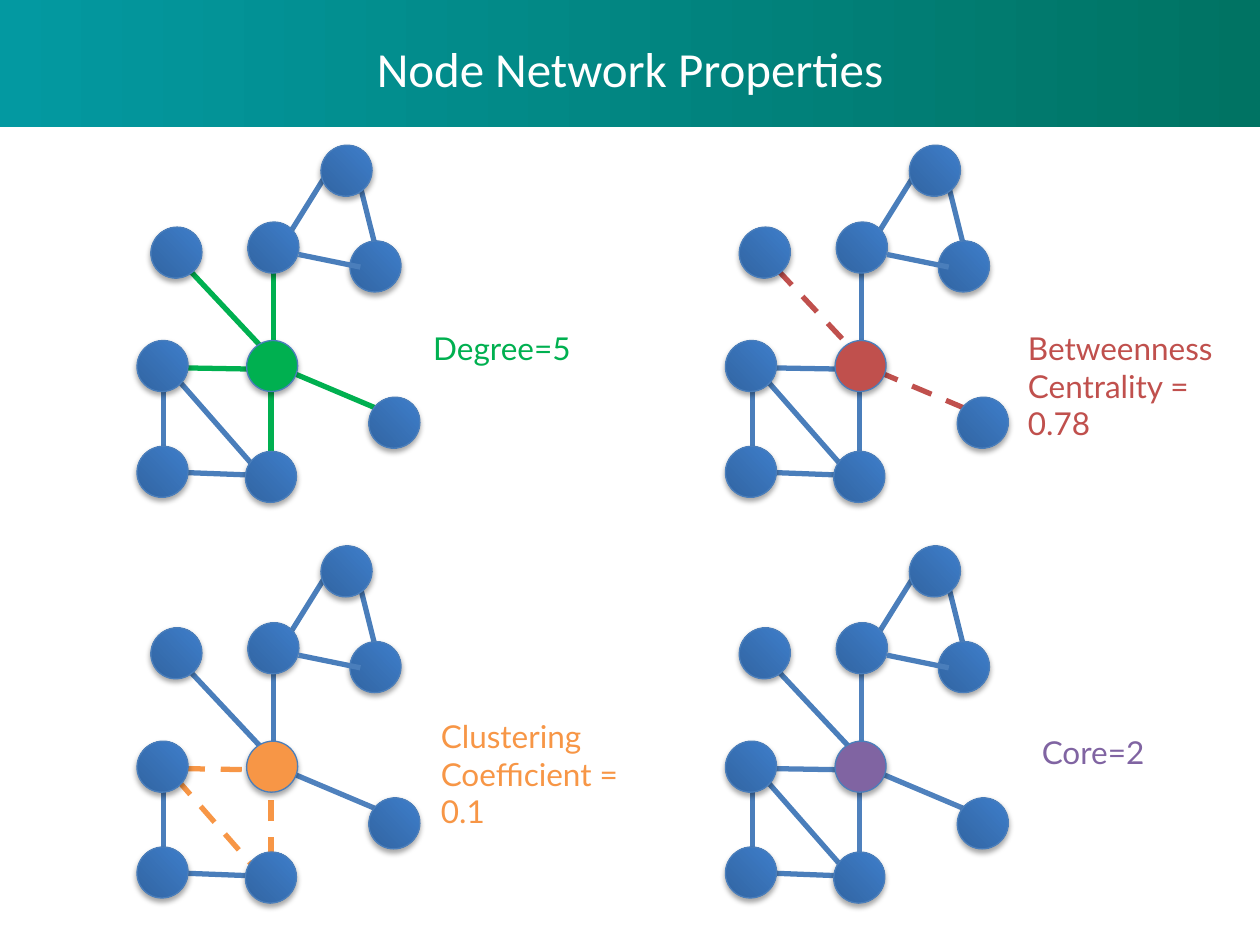
from copy import deepcopy
from dataclasses import dataclass

from lxml import etree
from pptx import Presentation
from pptx.dml.color import RGBColor
from pptx.enum.dml import MSO_LINE
from pptx.enum.shapes import MSO_CONNECTOR, MSO_SHAPE
from pptx.enum.text import MSO_ANCHOR, MSO_AUTO_SIZE, PP_ALIGN
from pptx.oxml.ns import qn
from pptx.util import Inches, Pt

OVAL, RECT = MSO_SHAPE.OVAL, MSO_SHAPE.RECTANGLE
STRAIGHT = MSO_CONNECTOR.STRAIGHT
DASH = MSO_LINE.DASH
LEFT, CENTER = PP_ALIGN.LEFT, PP_ALIGN.CENTER
MIDDLE = MSO_ANCHOR.MIDDLE
GROW = MSO_AUTO_SIZE.SHAPE_TO_FIT_TEXT


@dataclass(frozen=True)
class Theme:
    """Colours, fonts and sizes of the slide."""
    white: str = "FFFFFF"
    edge: str = "4A7EBB"
    blue: str = "4F81BD"
    green: str = "00B050"
    red: str = "C0504D"
    orange: str = "F79646"
    purple: str = "8064A2"
    band: tuple = ((0, "007363"), (1, "0399A1"))
    node: tuple = ((0, "2F5F99"), (0.8, "3D7CC7"), (1, "3A7CCB"))
    head_font: str = "Calibri"
    note_font: str = "Lato"
    head_size: int = 28
    note_size: int = 18
    edge_width: float = 3
    rim_width: float = 0.75


THEME = Theme()
STEP_X, STEP_Y = 4.67, 3.18
NODE_W, NODE_H, TURN = 0.4, 0.41, 46

EDGES = {
    "base": (1.46, 3.75, 1.98, 3.77),
    "cross": (1.4, 3, 2.04, 3.73),
    "west": (1.46, 2.92, 2.04, 2.93),
    "leaf": (1.5, 2.14, 2.1, 2.78),
    "east": (2.3, 2.95, 3.01, 3.25),
    "side": (1.3, 3.68, 1.3, 3.1),
    "right": (2.84, 1.4, 2.98, 1.96),
    "left": (2.58, 1.4, 2.3, 1.85),
    "south": (2.15, 3.63, 2.15, 3.05),
    "north": (2.17, 2.7, 2.17, 2.12),
}
HUB = (1.96, 2.7)
NODES = [(2.78, 1.91), (2.55, 1.15), (2.93, 3.15), (1.09, 3.54),
         (1.95, 3.58), (1.97, 1.76), (1.09, 2.7)]
TOP_EDGE = (2.86, 2.12, 2.37, 2.02)
TOP_NODE = (1.2, 1.8)

PANELS = [
    dict(col=0, row=0, hub=THEME.green, tint=THEME.green, dash=False,
         marked=("west", "leaf", "east", "south", "north"),
         text="Degree=5", box=(3.34, 2.56, 1.33, 0.4)),
    dict(col=1, row=0, hub=THEME.red, tint=THEME.red, dash=True,
         marked=("leaf", "east"),
         text="Betweenness Centrality = 0.78", box=(8.06, 2.56, 1.75, 1.01)),
    dict(col=0, row=1, hub=THEME.orange, tint=THEME.orange, dash=True,
         marked=("cross", "west", "south"), plain=("east",),
         text="Clustering Coefficient = 0.1", box=(3.4, 5.64, 1.61, 1.01)),
    dict(col=1, row=1, hub=THEME.purple, tint=THEME.blue, dash=False,
         marked=("west", "east", "south", "north"),
         text="Core=2", box=(8.17, 5.77, 1.33, 0.4)),
]


def rgb(code):
    """Turn a hex code into a colour."""
    return RGBColor.from_string(code)


def write(shape, text, *, size, font, color, align=LEFT):
    """Put formatted text into a shape."""
    frame = shape.text_frame
    frame.word_wrap = True
    frame.text = text
    para = frame.paragraphs[0]
    para.alignment = align
    para.font.size = Pt(size)
    para.font.name = font
    para.font.color.rgb = rgb(color)
    return frame


def blend(shape, stops, angle):
    """Fill a shape with a linear gradient."""
    fill = shape.fill
    fill.gradient()
    rows = shape.element.spPr.find(".//" + qn("a:gsLst"))
    for _ in stops[2:]:
        rows.append(deepcopy(rows[-1]))
    for stop, (place, color) in zip(fill.gradient_stops, stops):
        stop.position = place
        stop.color.rgb = rgb(color)
    fill.gradient_angle = angle


def shade(shape):
    """Give a shape a soft shadow below it."""
    shape.shadow.inherit = False
    effects = shape.element.spPr.find(qn("a:effectLst"))
    outer = etree.SubElement(
        effects, qn("a:outerShdw"), blurRad=str(Pt(3.1)), dist=str(Pt(1.8)),
        dir="5400000", rotWithShape="0")
    black = etree.SubElement(outer, qn("a:srgbClr"), val="000000")
    etree.SubElement(black, qn("a:alpha"), val="35000")


def add_band(slide):
    """Draw the header band behind the title."""
    band = slide.shapes.add_shape(RECT, 0, 0, Inches(10), Inches(1.01))
    band.shadow.inherit = False
    band.line.fill.background()
    blend(band, THEME.band, 180)
    slide.shapes.title.element.addprevious(band.element)


def add_title(slide, text):
    """Place and format the title."""
    title = slide.shapes.title
    title.left, title.top = Inches(0.7), Inches(0.25)
    title.width, title.height = Inches(8.6), Inches(0.57)
    frame = write(title, text, size=THEME.head_size, font=THEME.head_font,
                  color=THEME.white, align=CENTER)
    frame.vertical_anchor = MIDDLE


def add_edge(group, ends, dx, dy, color=THEME.edge, dash=False):
    """Draw one edge of a network."""
    x1, y1, x2, y2 = ends
    edge = group.shapes.add_connector(
        STRAIGHT, Inches(x1 + dx), Inches(y1 + dy),
        Inches(x2 + dx), Inches(y2 + dy))
    edge.line.color.rgb = rgb(color)
    edge.line.width = Pt(THEME.edge_width)
    if dash:
        edge.line.dash_style = DASH
    etree.SubElement(edge.element.spPr, qn("a:effectLst"))


def add_node(group, spot, dx, dy, color=None):
    """Draw one node, plain when a colour is given."""
    x, y = spot
    node = group.shapes.add_shape(OVAL, Inches(x + dx), Inches(y + dy),
                                  Inches(NODE_W), Inches(NODE_H))
    node.rotation = TURN
    if color:
        node.fill.solid()
        node.fill.fore_color.rgb = rgb(color)
    else:
        blend(node, THEME.node, 90)
    node.line.color.rgb = rgb(THEME.edge)
    node.line.width = Pt(THEME.rim_width)
    shade(node)


def add_panel(slide, *, col, row, hub, tint, dash, marked, text, box, plain=()):
    """Draw a network with its marked edges and label."""
    group = slide.shapes.add_group_shape()
    dx, dy = col * STEP_X, row * STEP_Y
    for name, ends in EDGES.items():
        if name in marked:
            add_edge(group, ends, dx, dy, tint, dash)
        else:
            color = THEME.blue if name in plain else THEME.edge
            add_edge(group, ends, dx, dy, color)
    add_node(group, HUB, dx, dy, hub)
    for spot in NODES:
        add_node(group, spot, dx, dy)
    add_edge(group, TOP_EDGE, dx, dy)
    add_node(group, TOP_NODE, dx, dy)
    label = slide.shapes.add_textbox(*map(Inches, box))
    frame = write(label, text, size=THEME.note_size, font=THEME.note_font,
                  color=hub)
    frame.auto_size = GROW


def main():
    """Build the slide and save it."""
    deck = Presentation()
    deck.slide_width, deck.slide_height = Inches(10), Inches(7.5)
    slide = deck.slides.add_slide(deck.slide_layouts[5])
    add_band(slide)
    add_title(slide, "Node Network Properties")
    for panel in PANELS:
        add_panel(slide, **panel)
    deck.save("out.pptx")


if __name__ == "__main__":
    main()
